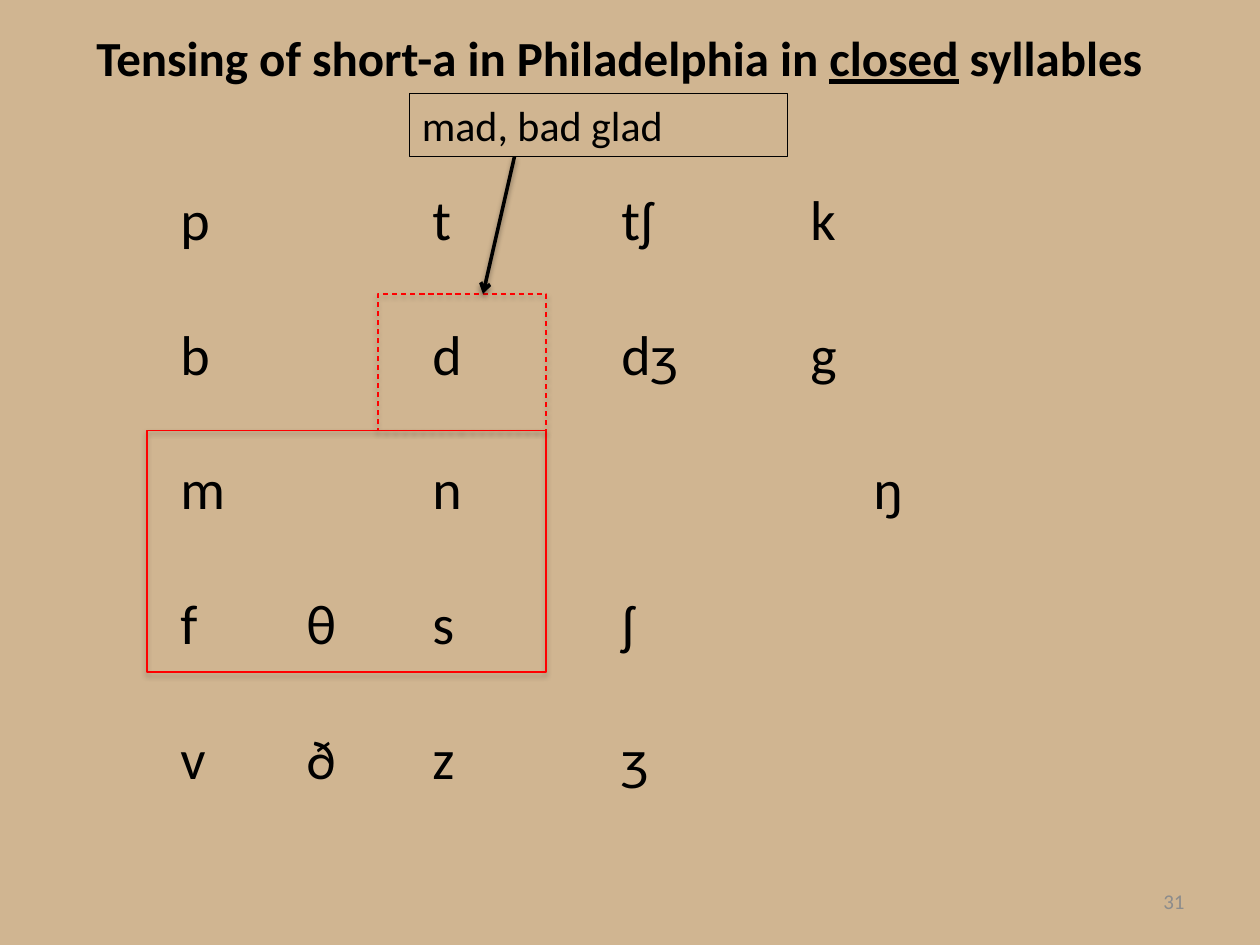
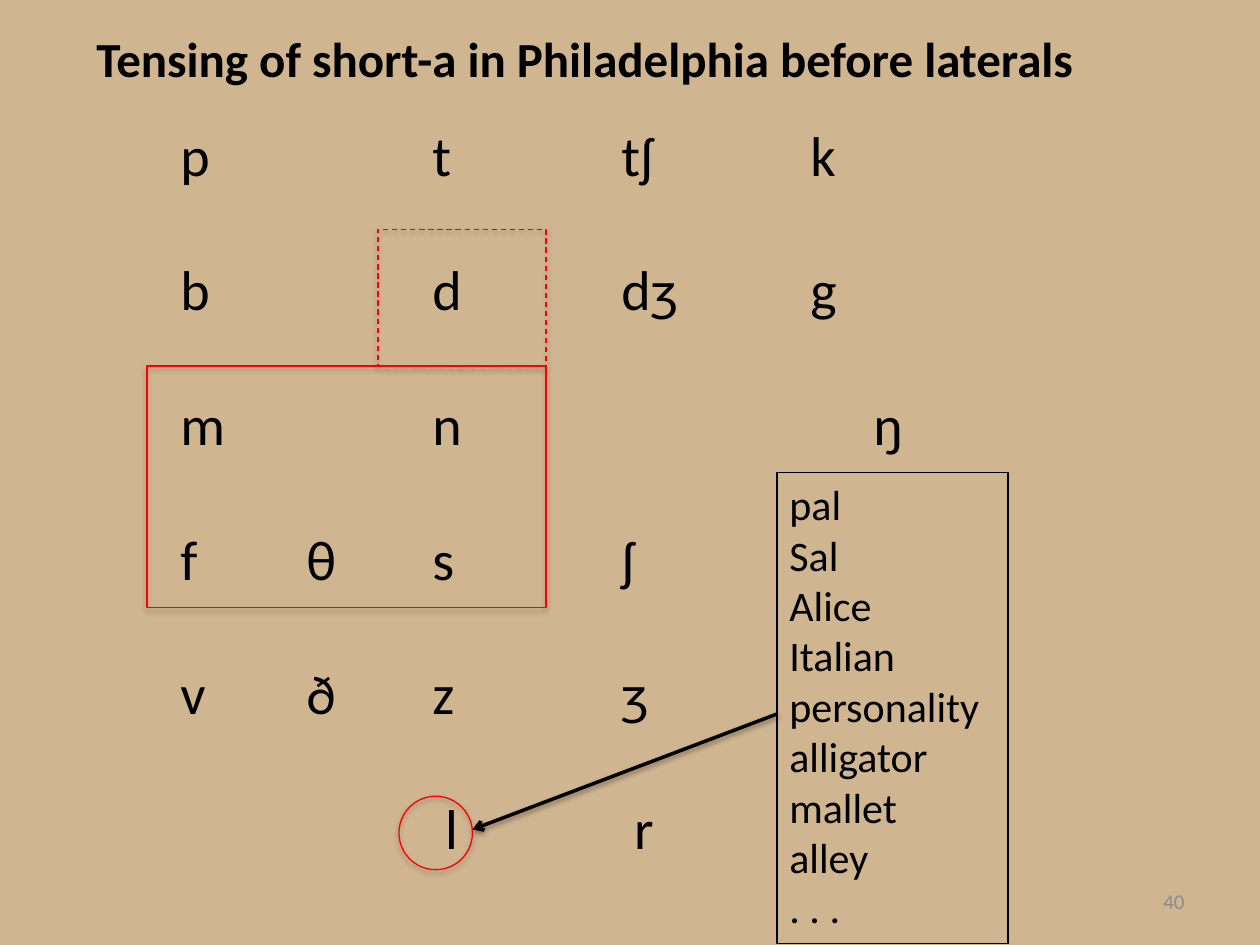
from dataclasses import dataclass

from lxml.etree import SubElement
from pptx import Presentation
from pptx.dml.color import RGBColor as Rgb
from pptx.enum.dml import MSO_LINE as Dash
from pptx.enum.shapes import MSO_CONNECTOR as Wire, MSO_SHAPE as Form
from pptx.enum.text import MSO_ANCHOR as Anchor, PP_ALIGN as Align
from pptx.oxml.ns import qn
from pptx.util import Pt

FONT = "Calibri"
SAND, BLACK, RED, GREY = "D0B591", "000000", "FF0000", "8C8C8C"
STOPS = (72, 144, 252, 360, 396)
GAP = 38.5
SOUNDS = (
    "p\t\tt\ttʃ\tk",
    "b\t\td\tdʒ\tg",
    "m\t\tn\t\t\tŋ",
    "f\tθ\ts\tʃ",
    "v\tð\tz\tʒ",
)


@dataclass(frozen=True)
class Box:
    left: float
    top: float
    width: float
    height: float

    def lengths(self) -> tuple:
        return Pt(self.left), Pt(self.top), Pt(self.width), Pt(self.height)


@dataclass(frozen=True)
class Run:
    text: str
    under: bool = False


@dataclass(frozen=True)
class Frame:
    box: Box
    form: Form = Form.RECTANGLE
    dashed: bool = False


@dataclass(frozen=True)
class Words:
    box: Box
    lines: tuple[str, ...]


@dataclass(frozen=True)
class Arrow:
    start: tuple[float, float]
    end: tuple[float, float]


@dataclass(frozen=True)
class Page:
    title: tuple[Run, ...]
    head: float
    top: float
    height: float
    rows: tuple[str, ...]
    frames: tuple[Frame, ...]
    words: Words
    arrow: Arrow
    number: str


def color(code: str) -> Rgb:
    return Rgb.from_string(code)


def shade(shape, alpha: int = 0, drop: float = 0) -> None:
    effects = SubElement(shape._element.spPr, qn("a:effectLst"))
    if alpha:
        outer = SubElement(effects, qn("a:outerShdw"), blurRad=str(Pt(3.1)),
                           dist=str(Pt(drop)), dir="5400000", rotWithShape="0")
        tone = SubElement(outer, qn("a:srgbClr"), val=BLACK)
        SubElement(tone, qn("a:alpha"), val=str(alpha * 1000))


def write(par, runs: tuple[Run, ...], size: float, code: str = BLACK,
          bold: bool = False) -> None:
    for part in runs:
        run = par.add_run()
        run.text = part.text
        font = run.font
        font.name, font.size, font.bold = FONT, Pt(size), bold
        font.color.rgb = color(code)
        if part.under:
            font.underline = True


def add_text(slide, box: Box):
    frame = slide.shapes.add_textbox(*box.lengths()).text_frame
    frame.word_wrap = True
    return frame


def add_lines(frame, lines: tuple[str, ...], size: float, gap: float = 0,
              stops: tuple[float, ...] = ()) -> None:
    for spot, line in enumerate(lines):
        par = frame.add_paragraph() if spot else frame.paragraphs[0]
        par.alignment = Align.LEFT
        if stops:
            tabs = SubElement(par._p.get_or_add_pPr(), qn("a:tabLst"))
            for stop in stops:
                SubElement(tabs, qn("a:tab"), pos=str(Pt(stop)), algn="l")
        if spot and gap:
            par.space_before = Pt(gap)
        write(par, (Run(line),), size)


def add_frame(slide, item: Frame, code: str = RED):
    shape = slide.shapes.add_shape(item.form, *item.box.lengths())
    shape.fill.background()
    shape.line.color.rgb = color(code)
    shape.line.width = Pt(0.75)
    if item.dashed:
        shape.line.dash_style = Dash.DASH
    return shape


def add_words(slide, item: Words) -> None:
    shape = add_frame(slide, Frame(item.box), BLACK)
    shade(shape)
    frame = shape.text_frame
    frame.word_wrap = True
    frame.vertical_anchor = Anchor.TOP
    add_lines(frame, item.lines, 24)


def add_arrow(slide, item: Arrow) -> None:
    ends = [Pt(value) for value in item.start + item.end]
    wire = slide.shapes.add_connector(Wire.STRAIGHT, *ends)
    wire.line.color.rgb = color(BLACK)
    wire.line.width = Pt(2)
    SubElement(wire.line._get_or_add_ln(), qn("a:tailEnd"), type="arrow")
    shade(wire, 38, 1.6)


def add_page(deck, page: Page) -> None:
    slide = deck.slides.add_slide(deck.slide_layouts[6])
    fill = slide.background.fill
    fill.solid()
    fill.fore_color.rgb = color(SAND)

    title = add_text(slide, Box(48, page.head, 642, 41))
    write(title.paragraphs[0], page.title, 28, bold=True)
    chart = add_text(slide, Box(96, page.top, 510, page.height))
    add_lines(chart, page.rows, 32, GAP, STOPS)

    tense = Frame(Box(84, page.top + 144, 228, 138))
    partial = Frame(Box(216, page.top + 66, 96, 78), dashed=True)
    for item in (tense, partial) + page.frames:
        shade(add_frame(slide, item), 35, 1.8)
    add_words(slide, page.words)
    add_arrow(slide, page.arrow)

    foot = add_text(slide, Box(516, 500.5, 168, 28.75))
    foot.vertical_anchor = Anchor.MIDDLE
    foot.paragraphs[0].alignment = Align.RIGHT
    write(foot.paragraphs[0], (Run(page.number),), 12, GREY)


PAGES = (
    Page(
        title=(Run("Tensing of short-a in Philadelphia in "),
               Run("closed", under=True), Run(" syllables")),
        head=12.25, top=102, height=395, rows=SOUNDS, frames=(),
        words=Words(Box(234, 53.5, 216, 36), ("mad, bad glad",)),
        arrow=Arrow((294, 89.5), (276, 168)),
        number="31",
    ),
    Page(
        title=(Run("Tensing of short-a in Philadelphia before laterals"),),
        head=13, top=65.25, height=472, rows=SOUNDS + ("\t\t l\t r",),
        frames=(Frame(Box(228, 455, 42, 42), Form.OVAL),),
        words=Words(Box(444, 270, 132, 269),
                    ("pal", "Sal", "Alice", "Italian", "personality",
                     "alligator", "mallet", "alley", ". . .")),
        arrow=Arrow((444, 408), (270, 474)),
        number="40",
    ),
)


def main() -> None:
    deck = Presentation()
    deck.slide_width, deck.slide_height = Pt(720), Pt(540)
    for page in PAGES:
        add_page(deck, page)
    deck.save("out.pptx")


if __name__ == "__main__":
    main()
